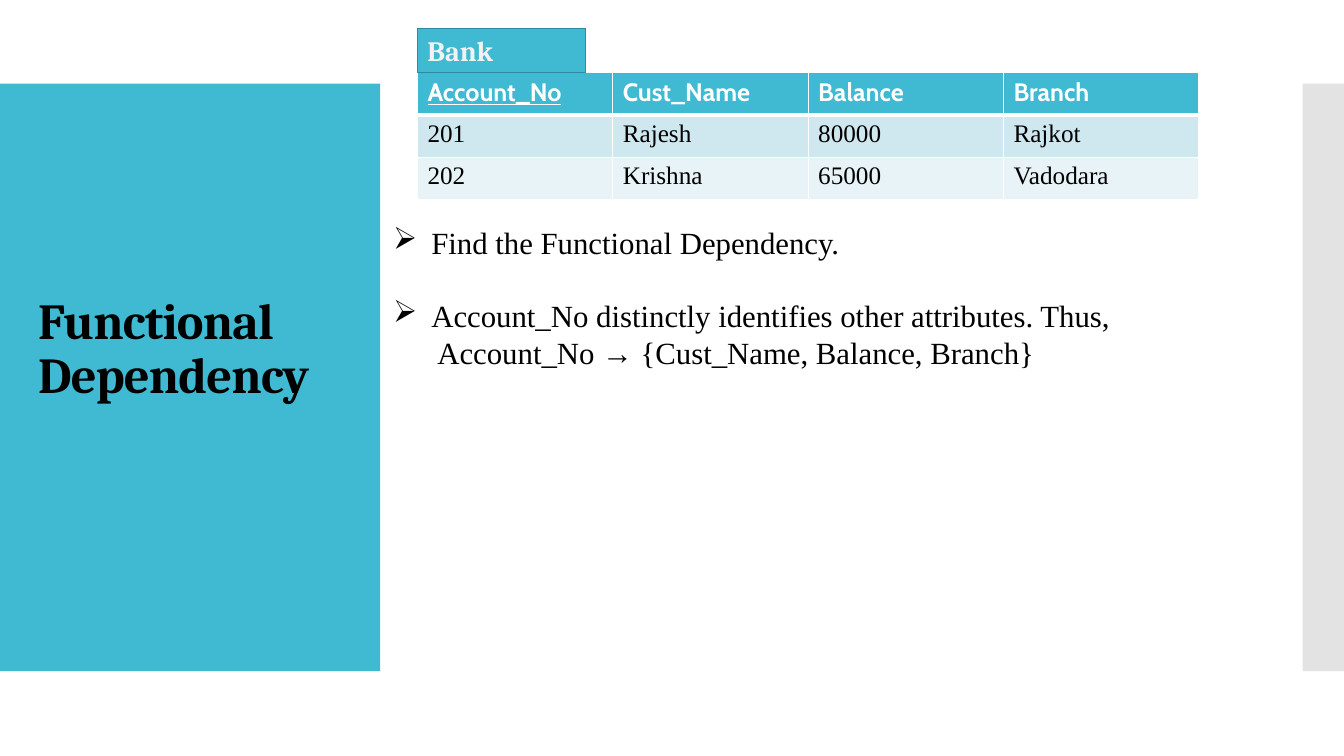
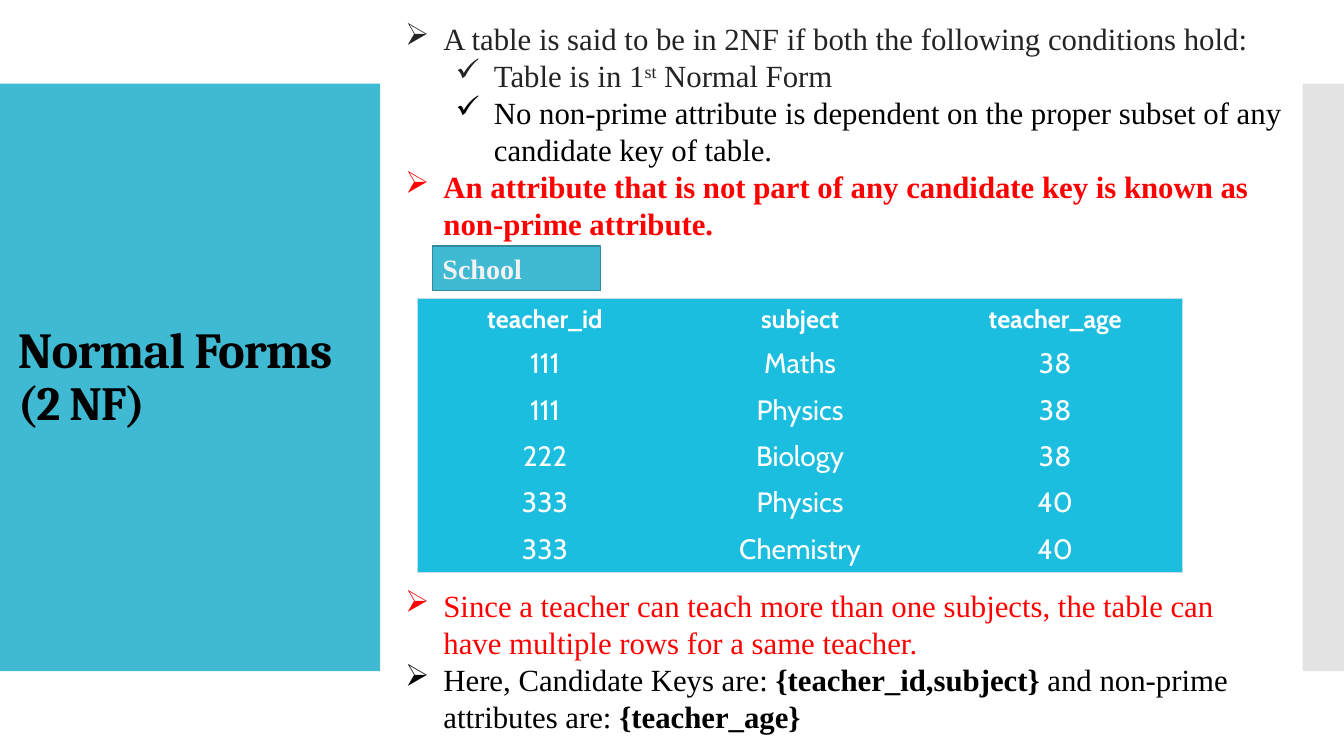
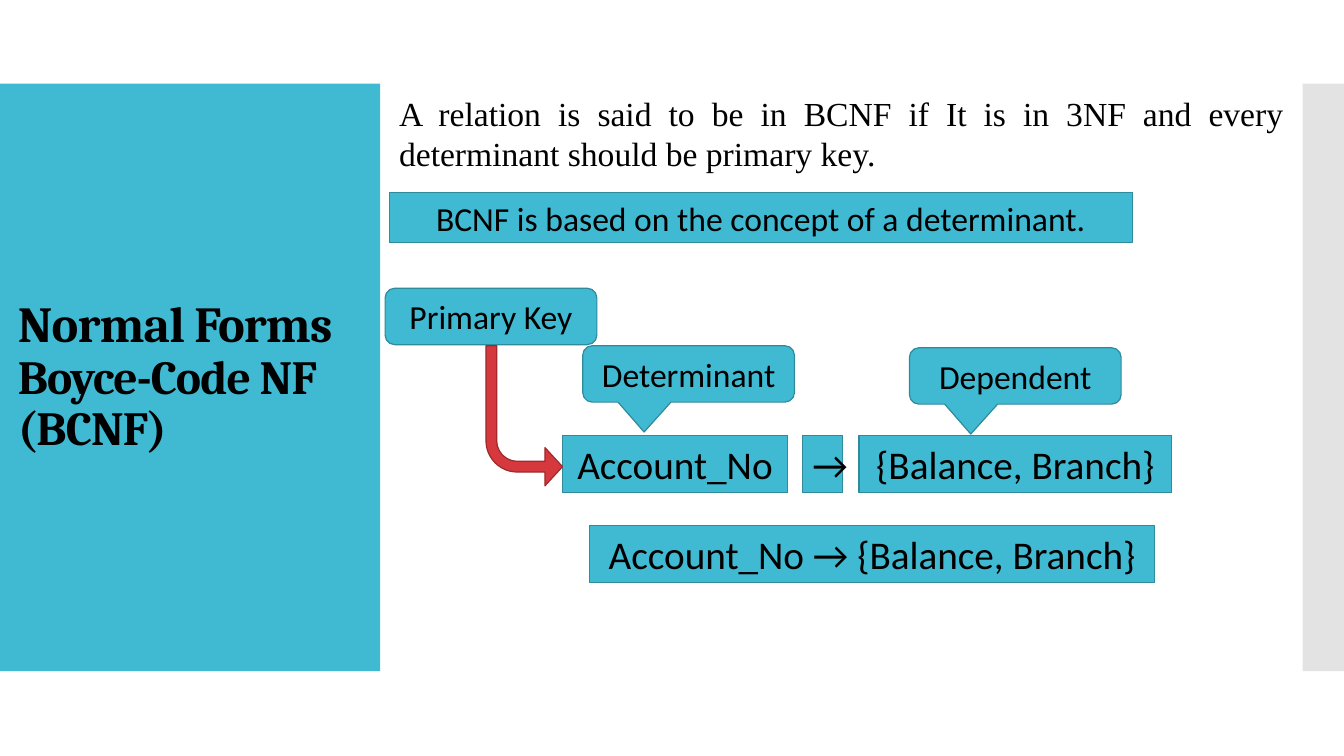
from dataclasses import dataclass, field
from typing import Optional

from lxml.etree import SubElement
from pptx import Presentation
from pptx.dml.color import RGBColor
from pptx.enum.shapes import MSO_SHAPE as SHAPE
from pptx.enum.text import MSO_ANCHOR as ANCHOR, PP_ALIGN as ALIGN
from pptx.oxml.ns import qn
from pptx.util import Inches, Pt

COLORS = {
    "accent": "40BAD2",
    "outline": "2F8A9B",
    "band": "C8C8C8",
    "black": "000000",
    "ink": "222426",
    "white": "FFFFFF",
    "label": "F2F2F2",
    "red": "FF0000",
    "arrow": "D5393D",
    "arrow_outline": "9E2A2D",
    "row_dark": "CFE7EE",
    "row_light": "E8F3F7",
    "school": "1CBEE0",
    "school_edge": "C0E0EA",
}
TIMES, CAMBRIA, CALIBRI, CABIN = "Times New Roman", "Cambria", "Calibri", "Cabin"


@dataclass
class Run:
    text: str
    fmt: dict = field(default_factory=dict)
    attrs: dict = field(default_factory=dict)


@dataclass
class Para:
    runs: list
    bullet: str = ""
    left: float = 0
    before: float = 0
    align: ALIGN = ALIGN.LEFT
    spacing: Optional[float] = None


@dataclass
class Box:
    text: str
    at: tuple
    size: int
    kind: SHAPE = SHAPE.RECTANGLE
    adj: tuple = ()
    font: str = CALIBRI
    color: str = "black"
    bold: bool = False
    align: ALIGN = ALIGN.CENTER


def rgb(name: str) -> RGBColor:
    return RGBColor.from_string(COLORS[name])


def style(name: str, size: float, color: str, bold: bool = False) -> dict:
    return {"name": name, "size": size, "color": color, "bold": bold}


def write(tf, paras: list, base: dict) -> None:
    for i, para in enumerate(paras):
        p = tf.paragraphs[0] if i == 0 else tf.add_paragraph()
        pPr = p._p.get_or_add_pPr()
        if para.left:
            pPr.set("marL", str(Inches(para.left)))
        if para.bullet:
            pPr.set("indent", str(Inches(-0.38)))
            SubElement(pPr, qn("a:buChar")).set("char", para.bullet)
        p.alignment = para.align
        if para.spacing:
            p.line_spacing = para.spacing
        if para.before:
            p.space_before = Pt(para.before)
        for run in para.runs:
            r = p.add_run()
            r.text = run.text
            for key, value in {**base, **run.fmt}.items():
                if key == "color":
                    r.font.color.rgb = rgb(value)
                else:
                    setattr(r.font, key, Pt(value) if key == "size" else value)
            for key, value in run.attrs.items():
                r._r.get_or_add_rPr().set(key, value)


def add_text(s, at: tuple, paras: list, base: dict, anchor=ANCHOR.TOP) -> None:
    tf = s.shapes.add_textbox(*map(Inches, at)).text_frame
    tf.word_wrap = True
    tf.vertical_anchor = anchor
    write(tf, paras, base)


def add_shape(s, kind: SHAPE, at: tuple, fill: str, line: str = "", adj: tuple = ()):
    sp = s.shapes.add_shape(kind, *map(Inches, at))
    sp.shadow.inherit = False
    sp.fill.solid()
    sp.fill.fore_color.rgb = rgb(fill)
    if line:
        sp.line.color.rgb = rgb(line)
        sp.line.width = Pt(0.85)
    else:
        sp.line.fill.background()
    for i, value in enumerate(adj):
        sp.adjustments[i] = value
    return sp


def add_box(s, box: Box) -> None:
    sp = add_shape(s, box.kind, box.at, "accent", "outline", box.adj)
    tf = sp.text_frame
    tf.word_wrap = True
    tf.vertical_anchor = ANCHOR.MIDDLE
    write(tf, [Para([Run(box.text)], align=box.align)],
          style(box.font, box.size, box.color, box.bold))


def add_borders(cell, edges: dict) -> None:
    tcPr = cell._tc.get_or_add_tcPr()
    for side in "LRTB":
        color, width = edges.get(side, ("", 0))
        ln = SubElement(tcPr, qn(f"a:ln{side}"), w=str(Pt(width)))
        if color:
            SubElement(SubElement(ln, qn("a:solidFill")), qn("a:srgbClr"), val=COLORS[color])
        else:
            SubElement(ln, qn("a:noFill"))


def new_table(s, at: tuple, n_rows: int, n_cols: int, heights: list):
    table = s.shapes.add_table(n_rows, n_cols, *map(Inches, at)).table
    table.first_row = table.horz_banding = False
    for row, height in zip(table.rows, heights):
        row.height = Inches(height)
    return table


def fill_cell(cell, text: str, fill: str, edges: dict, base: dict, attrs: dict, align=ALIGN.LEFT) -> None:
    add_borders(cell, edges)
    cell.fill.solid()
    cell.fill.fore_color.rgb = rgb(fill)
    write(cell.text_frame, [Para([Run(text, attrs)], align=align)], base)


def add_bank_table(s) -> None:
    rows = [
        ("Account_No", "Cust_Name", "Balance", "Branch"),
        ("201", "Rajesh", "80000", "Rajkot"),
        ("202", "Krishna", "65000", "Vadodara"),
    ]
    fills = ("accent", "row_dark", "row_light")
    table = new_table(s, (4.14, 0.72, 7.75, 1.26), 3, 4, [0.42] * 3)
    for i, row in enumerate(rows):
        base = style(TIMES, 18, "black") if i else style(CABIN, 18, "white", True)
        edges = {side: ("white", 1) for side in "LRTB"}
        if i == 0:
            edges["B"] = ("white", 3)
        elif i == 1:
            edges["T"] = ("white", 3)
        for j, text in enumerate(row):
            key = {"underline": True} if i == j == 0 else {}
            fill_cell(table.cell(i, j), text, fills[i], edges, base, key)


def add_school_table(s) -> None:
    rows = [
        ("teacher_id", "subject", "teacher_age"),
        ("111", "Maths", "38"),
        ("111", "Physics", "38"),
        ("222", "Biology", "38"),
        ("333", "Physics", "40"),
        ("333", "Chemistry", "40"),
    ]
    table = new_table(s, (4.14, 2.96, 7.59, 2.72), 6, 3, [0.42] + [0.46] * 5)
    for i, row in enumerate(rows):
        base = style(CABIN, 20, "white") if i else style(CABIN, 18, "white", True)
        for j, text in enumerate(row):
            outer = {"L": j == 0, "R": j == 2, "T": i == 0, "B": i == 5}
            edges = {side: ("school_edge", 0.75) for side, on in outer.items() if on}
            cell = table.cell(i, j)
            cell.margin_top = cell.margin_bottom = Inches(0.06)
            cell.vertical_anchor = ANCHOR.MIDDLE
            fill_cell(cell, text, "school", edges, base, {}, ALIGN.CENTER)


def add_slide(prs, lines: list, left: float = 0.08, top: float = 1.23, width: float = 3.6):
    s = prs.slides.add_slide(prs.slide_layouts[6])
    add_shape(s, SHAPE.RECTANGLE, (0, 0.83, 3.77, 5.83), "accent")
    band = add_shape(s, SHAPE.RECTANGLE, (12.92, 0.83, 0.42, 5.83), "band")
    color = band._element.spPr.find(qn("a:solidFill")).find(qn("a:srgbClr"))
    SubElement(color, qn("a:alpha"), val="50000")
    paras = [Para([Run(text, {"size": 34 if i else 36}, {"spc": "-60"})], spacing=0.9)
             for i, text in enumerate(lines)]
    add_text(s, (left, top, width, 5.03), paras, style(CAMBRIA, 36, "black", True), ANCHOR.MIDDLE)
    return s


def arrow_point(*runs: Run, **options) -> Para:
    return Para(list(runs), bullet="➢", left=0.38, **options)


def check_point(*runs: Run) -> Para:
    return Para(list(runs), bullet="✓", left=0.88)


def functional_dependency(prs) -> None:
    s = add_slide(prs, ["Functional Dependency"], 0.28, 0.96, 3.22)
    add_bank_table(s)
    add_box(s, Box("Bank", (4.14, 0.28, 1.67, 0.44), 20, font=CAMBRIA,
                   color="label", bold=True, align=ALIGN.LEFT))
    add_text(s, (3.8, 2.17, 9.14, 1.58), [
        arrow_point(Run("Find the Functional Dependency."), align=ALIGN.JUSTIFY),
        arrow_point(Run("Account_No distinctly identifies other attributes. Thus,"),
                    before=26, align=ALIGN.JUSTIFY),
        Para([Run("Account_No → {Cust_Name, Balance, Branch}")], left=0.44, align=ALIGN.JUSTIFY),
    ], style(TIMES, 22, "black"))


def second_normal_form(prs) -> None:
    s = add_slide(prs, ["Normal Forms", "(2 NF)"])
    ink, bold = {"color": "ink"}, {"bold": True}
    base = style(TIMES, 22, "black")
    add_text(s, (3.92, 0.15, 8.91, 2.32), [
        arrow_point(Run("A table is said to be in 2NF if both the following conditions hold:", ink)),
        check_point(Run("Table is in 1", ink), Run("st", ink, {"baseline": "30000"}),
                    Run(" Normal Form", ink)),
        check_point(Run("No non-prime attribute is dependent on the proper subset of any "
                        "candidate key of table.")),
        arrow_point(Run("An attribute that is not part of any candidate key is known as "
                        "non-prime attribute.", {"color": "red", "bold": True})),
    ], base)
    add_school_table(s)
    add_text(s, (3.92, 5.77, 8.8, 1.58), [
        arrow_point(Run("Since a teacher can teach more than one subjects, the table can "
                        "have multiple rows for a same teacher.", {"color": "red"})),
        arrow_point(Run("Here, Candidate Keys are: "), Run("{teacher_id,subject} ", bold),
                    Run("and non-prime attributes are: "), Run("{teacher_age}", bold)),
    ], base)
    add_box(s, Box("School", (4.29, 2.44, 1.67, 0.44), 20, font=TIMES,
                   color="label", bold=True, align=ALIGN.LEFT))


def boyce_codd_normal_form(prs) -> None:
    s = add_slide(prs, ["Normal Forms", "Boyce-Code NF", "(BCNF)"])
    add_text(s, (3.86, 0.87, 8.97, 0.9), [
        Para([Run("A relation is said to be in BCNF if It is in 3NF and every "
                  "determinant should be primary key.")], align=ALIGN.JUSTIFY),
    ], style(TIMES, 24, "black"))
    callout = SHAPE.ROUNDED_RECTANGULAR_CALLOUT
    pointed, flat = (-0.21, 1.03, 0.17), (0.21, 0.5, 0.17)
    for box in [
        Box("BCNF is based on the concept of a determinant.", (3.86, 1.91, 7.37, 0.5), 24),
        Box("Account_No → {Balance, Branch}", (5.85, 5.21, 5.6, 0.57), 28),
        Box("Account_No", (5.58, 4.32, 2.23, 0.57), 28),
        Box("{Balance, Branch}", (8.52, 4.32, 3.1, 0.57), 28),
        Box("→", (7.96, 4.32, 0.4, 0.57), 28),
        Box("Determinant", (5.78, 3.43, 2.1, 0.56), 24, callout, pointed),
        Box("Dependent", (9.02, 3.45, 2.1, 0.56), 24, callout, pointed),
        Box("Primary Key", (3.82, 2.86, 2.1, 0.56), 24, callout, flat),
    ]:
        add_box(s, box)
    key_arrow = add_shape(s, SHAPE.BENT_ARROW, (4.82, 3.43, 0.76, 1.39),
                          "arrow", "arrow_outline", (0.14, 0.25, 0.23, 0.41))
    key_arrow._element.spPr.find(qn("a:xfrm")).set("flipV", "1")


def main() -> None:
    prs = Presentation()
    prs.slide_width, prs.slide_height = Inches(13.33), Inches(7.5)
    functional_dependency(prs)
    second_normal_form(prs)
    boyce_codd_normal_form(prs)
    prs.save("out.pptx")


if __name__ == "__main__":
    main()
